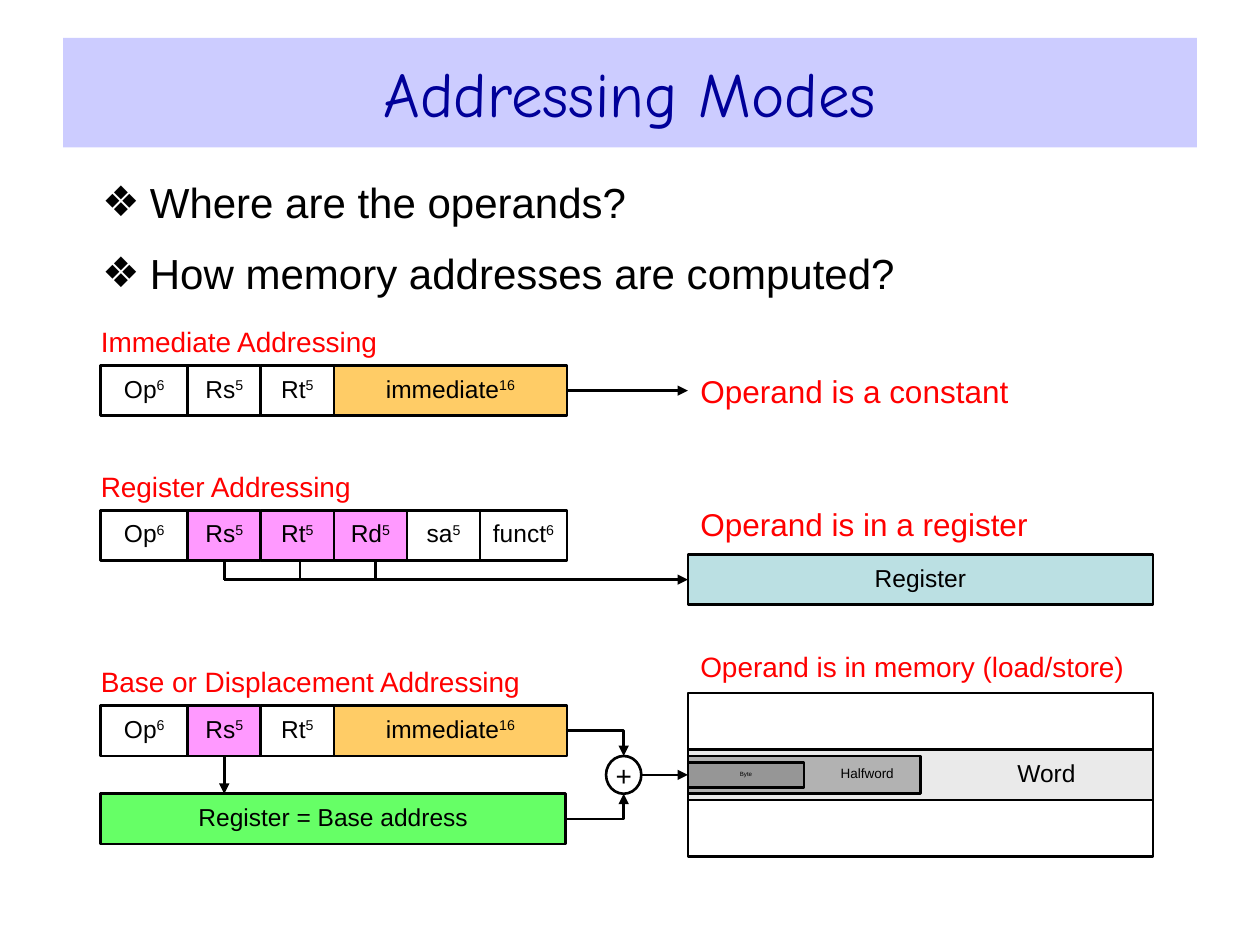
from dataclasses import dataclass

from lxml.etree import SubElement
from pptx import Presentation
from pptx.dml.color import RGBColor
from pptx.enum.shapes import MSO_CONNECTOR as CONNECTOR, MSO_SHAPE as SHAPE
from pptx.enum.text import MSO_ANCHOR as ANCHOR, MSO_AUTO_SIZE as AUTO_SIZE, PP_ALIGN as ALIGN
from pptx.oxml.ns import qn
from pptx.util import Inches, Pt


@dataclass(frozen=True)
class Theme:
    title_font: str = "Comic Neue"
    body_font: str = "Arial"
    title_size: float = 36
    list_size: float = 24
    result_size: float = 18
    heading_size: float = 16
    cell_size: float = 14
    halfword_size: float = 7.7
    byte_size: float = 3.5
    line_width: float = 1.5
    black: RGBColor = RGBColor(0, 0, 0)
    white: RGBColor = RGBColor(0xFF, 0xFF, 0xFF)
    red: RGBColor = RGBColor(0xFF, 0, 0)
    title_text: RGBColor = RGBColor(0, 0, 0x99)
    title_fill: RGBColor = RGBColor(0xCC, 0xCC, 0xFF)
    pink: RGBColor = RGBColor(0xFF, 0x99, 0xFF)
    orange: RGBColor = RGBColor(0xFF, 0xCC, 0x66)
    green: RGBColor = RGBColor(0x66, 0xFF, 0x66)
    teal: RGBColor = RGBColor(0xBB, 0xE0, 0xE3)
    word: RGBColor = RGBColor(0xEA, 0xEA, 0xEA)
    halfword: RGBColor = RGBColor(0xB2, 0xB2, 0xB2)
    byte: RGBColor = RGBColor(0x96, 0x96, 0x96)


theme = Theme()
presentation = Presentation()
presentation.slide_width, presentation.slide_height = Inches(10), Inches(7.5)
slide = presentation.slides.add_slide(presentation.slide_layouts[1])


def add_box(left, top, width, height, text="", fill=None, bits="", size=theme.cell_size,
            spacing=0.85, inset=0, kind=SHAPE.RECTANGLE):
    """Outlined box with centred text and an optional raised bit count."""
    box = slide.shapes.add_shape(kind, Inches(left), Inches(top), Inches(width), Inches(height))
    box.shadow.inherit = False
    if fill is None:
        box.fill.background()
    else:
        box.fill.solid()
        box.fill.fore_color.rgb = fill
    box.line.color.rgb = theme.black
    box.line.width = Pt(theme.line_width)
    frame = box.text_frame
    frame.vertical_anchor = ANCHOR.MIDDLE
    frame.word_wrap = kind == SHAPE.RECTANGLE
    frame.margin_left = Inches(inset)
    frame.margin_right = frame.margin_top = frame.margin_bottom = 0
    paragraph = frame.paragraphs[0]
    paragraph.alignment = ALIGN.CENTER
    paragraph.line_spacing = spacing
    for part in filter(None, (text, bits)):
        run = paragraph.add_run()
        run.text = part
        run.font.name, run.font.size = theme.body_font, Pt(size)
        run.font.color.rgb = theme.black
        if part == bits:
            run._r.get_or_add_rPr().set("baseline", "30000")
    return box


def add_line(start, end, arrow=True, elbow=False, begin=None, finish=None):
    """Line between two points; begin and finish are (shape, side) joints."""
    kind = CONNECTOR.ELBOW if elbow else CONNECTOR.STRAIGHT
    line = slide.shapes.add_connector(kind, *map(Inches, start + end))
    line.line.color.rgb = theme.black
    line.line.width = Pt(theme.line_width)
    if begin:
        line.begin_connect(*begin)
    if finish:
        line.end_connect(*finish)
    properties = line._element.spPr
    if elbow:
        properties.find(qn("a:prstGeom")).set("prst", "bentConnector2")
    if arrow:
        SubElement(line.line._get_or_add_ln(), qn("a:tailEnd"), type="triangle")
    SubElement(properties, qn("a:effectLst"))


# Title
title = slide.shapes.title
title.left, title.top, title.width, title.height = map(Inches, (0.5, 0.3, 9, 0.87))
title.fill.solid()
title.fill.fore_color.rgb = theme.title_fill
title.text_frame.text = "Addressing Modes"
title.text_frame.vertical_anchor = ANCHOR.MIDDLE
title.text_frame.auto_size = AUTO_SIZE.NONE
paragraph = title.text_frame.paragraphs[0]
paragraph.alignment = ALIGN.CENTER
font = paragraph.runs[0].font
font.name, font.size = theme.title_font, Pt(theme.title_size)
font.color.rgb = theme.title_text

# Questions
body = slide.placeholders[1]
body.left, body.top, body.width, body.height = map(Inches, (0.71, 1.35, 8.39, 1.15))
body.text_frame.text = "Where are the operands?\nHow memory addresses are computed?"
body.text_frame.auto_size = AUTO_SIZE.NONE
for index, paragraph in enumerate(body.text_frame.paragraphs):
    properties = paragraph._p.get_or_add_pPr()
    properties.set("marL", str(Inches(0.38)))
    properties.set("indent", str(-Inches(0.38)))
    bullet_color = SubElement(properties, qn("a:buClr"))
    SubElement(bullet_color, qn("a:srgbClr"), val=str(theme.black))
    SubElement(properties, qn("a:buChar"), char="❖")
    paragraph.space_before = Pt(12 if index else 0)
    font = paragraph.runs[0].font
    font.name, font.size = theme.body_font, Pt(theme.list_size)
    font.color.rgb = theme.black

# Shared columns
left_x, right_x, column_width, row_height = 0.8, 5.46, 3.69, 0.4
left_end = left_x + column_width
immediate_y, register_y, base_y = 2.9, 4.05, 5.6

# Headings and results
labels = {}
for text, left, top, size, inset in [
    ("Immediate Addressing", left_x, immediate_y - 0.35, theme.heading_size, 0),
    ("Register Addressing", left_x, register_y - 0.35, theme.heading_size, 0),
    ("Base or Displacement Addressing", left_x, base_y - 0.35, theme.heading_size, 0),
    ("Operand is a constant", right_x, 2.94, theme.result_size, 0.1),
    ("Operand is in a register", right_x, 4, theme.result_size, 0.1),
    ("Operand is in memory (load/store)", right_x, 5.13, theme.heading_size, 0.1),
]:
    label = slide.shapes.add_textbox(Inches(left), Inches(top), Inches(column_width), Inches(0.32))
    frame = label.text_frame
    frame.word_wrap = True
    frame.vertical_anchor = ANCHOR.MIDDLE
    frame.margin_left = frame.margin_right = Inches(inset)
    frame.margin_top = frame.margin_bottom = 0
    frame.text = text
    font = frame.paragraphs[0].runs[0].font
    font.name, font.size, font.color.rgb = theme.body_font, Pt(size), theme.red
    labels[text] = label

# Instruction formats: cell width follows the number of bits
bit_widths = {"5": 0.58, "6": 0.69, "16": 1.85}
op, immediate = ("Op", "6", theme.white), ("immediate", "16", theme.orange)
rs, rt = ("Rs", "5", theme.white), ("Rt", "5", theme.white)
rs_used, rt_used, rd_used = [(name, "5", theme.pink) for name in ("Rs", "Rt", "Rd")]
sa, funct = ("sa", "5", theme.white), ("funct", "6", theme.white)
cells = {}
for top, fields in [
    (immediate_y, [op, rs, rt, immediate]),
    (register_y, [op, rs_used, rt_used, rd_used, sa, funct]),
    (base_y, [op, rs_used, rt, immediate]),
]:
    left = left_x
    for name, bits, fill in fields:
        cells[top, name] = add_box(left, top, bit_widths[bits], row_height, name, fill, bits)
        left += bit_widths[bits]

# Immediate: the constant itself
add_line((left_end, 3.1), (right_x, 3.1), begin=(cells[immediate_y, "immediate"], 3),
         finish=(labels["Operand is a constant"], 1))

# Register: three fields share one bus
register = add_box(right_x, 4.4, column_width, row_height, "Register", theme.teal)
tap_x, bus_y = 1.78, 4.6
add_line((tap_x, bus_y), (right_x, bus_y), finish=(register, 1))
for index in range(3):
    x = tap_x + 0.6 * index
    joint = None if index else (cells[register_y, "Rs"], 2)
    add_line((x, register_y + row_height), (x, bus_y), arrow=False, begin=joint)

# Base register and adder
add_box(left_x, 6.3, column_width, row_height, "Register = Base address", theme.green)
add_line((tap_x, 6), (tap_x, 6.3), begin=(cells[base_y, "Rs"], 2))
add_box(4.81, 6, 0.28, 0.3, "+", theme.white, size=theme.heading_size, spacing=1, kind=SHAPE.OVAL)
add_line((left_end, 5.8), (4.95, 6), elbow=True)
add_line((left_end, 6.5), (4.95, 6.3), elbow=True)

# Memory: byte inside halfword inside word, each half as wide
memory_y = 6.15
word = None
for name, share, height, fill, size, spacing, inset in [
    ("Word", 1, 0.4, theme.word, theme.cell_size, 0.85, 2),
    ("Halfword", 0.5, 0.3, theme.halfword, theme.halfword_size, 0.65, 1),
    ("Byte", 0.25, 0.2, theme.byte, theme.byte_size, 0.65, 0),
]:
    box = add_box(right_x, memory_y - height / 2, column_width * share, height, name, fill,
                  size=size, spacing=spacing, inset=inset)
    word = word or box
add_box(right_x, memory_y - 0.65, column_width, 1.3)
add_line((5.09, memory_y), (right_x, memory_y), finish=(word, 1))

presentation.save("out.pptx")
